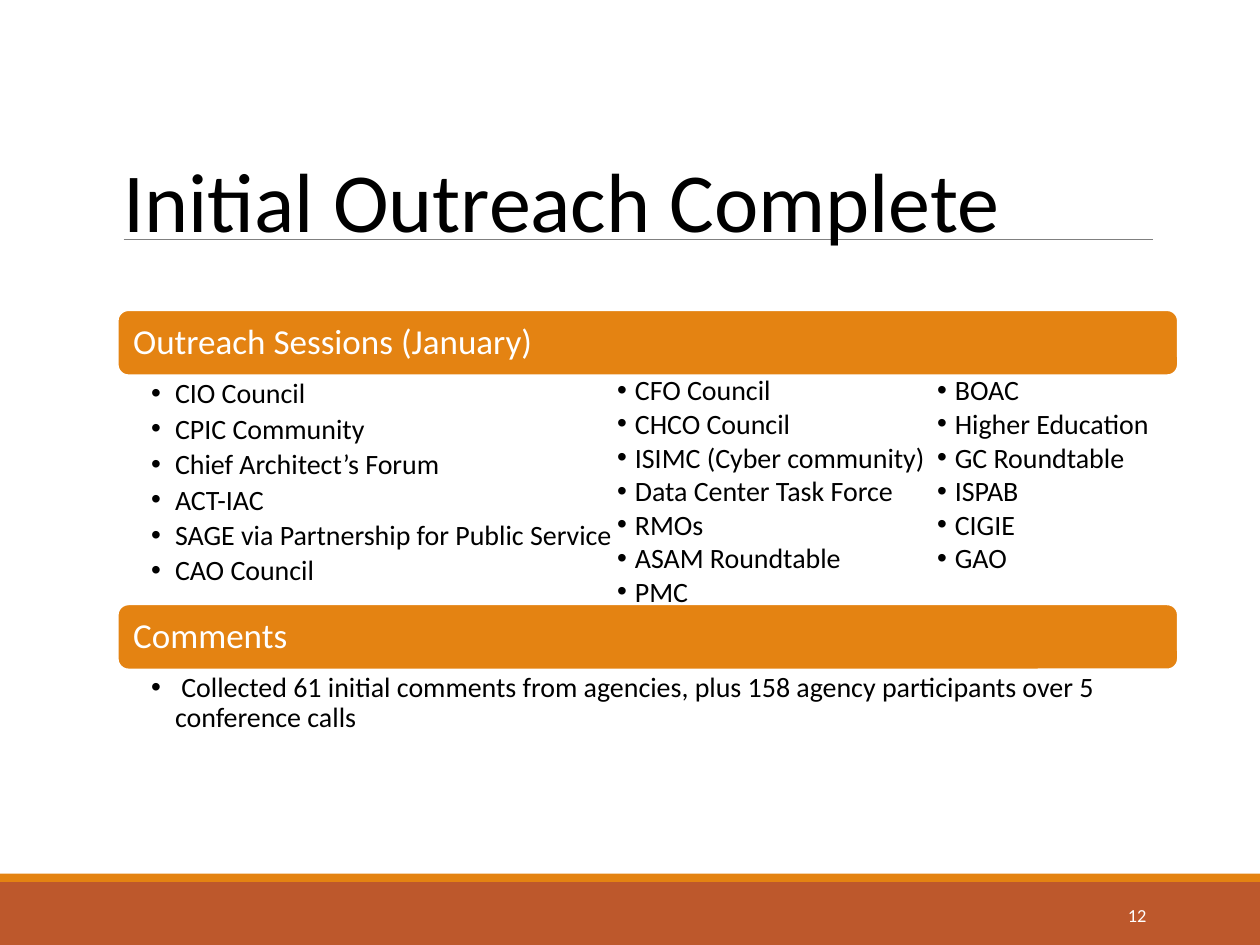
from lxml import etree
from pptx import Presentation
from pptx.dml.color import RGBColor
from pptx.enum import shapes, text
from pptx.oxml import ns
from pptx.util import Cm, Pt

BLACK = RGBColor(0, 0, 0)
WHITE = RGBColor(255, 255, 255)
GRAY = RGBColor(0x80, 0x80, 0x80)
ORANGE = RGBColor(0xE4, 0x83, 0x12)
RUST = RGBColor(0xBD, 0x58, 0x2C)
FONT = "Calibri"

TITLE = "Initial Outreach Complete"
PAGE_NUMBER = "12"
SECTIONS = [
    ("Outreach Sessions (January)", 6.25, 4.6, [
        "CIO Council", "CPIC Community", "Chief Architect’s Forum", "ACT-IAC",
        "SAGE via Partnership for Public Service", "CAO Council"]),
    ("Comments", 12.18, 1.4, [
        " Collected 61 initial comments from agencies, plus 158 agency "
        "participants over 5 conference calls"]),
]
MORE_SESSIONS = [
    (12.19, 6.83, 5.05, [
        "CFO Council", "CHCO Council", "ISIMC (Cyber community)",
        "Data Center Task Force", "RMOs", "ASAM Roundtable", "PMC"]),
    (18.64, 5.0, 4.65, [
        "BOAC", "Higher Education", "GC Roundtable", "ISPAB", "CIGIE", "GAO"]),
]
WIDTH, HEIGHT = 25.4, 19.05
FOOTER_TOP, STRIPE_HEIGHT = 17.78, 0.17
SECTION_LEFT, SECTION_WIDTH, BAR_HEIGHT = 2.37, 21.38, 1.32


def write(box, lines, size, color=BLACK, anchor=text.MSO_ANCHOR.TOP,
          align=text.PP_ALIGN.LEFT, insets=(0.25, 0.13, 0.25, 0.13),
          spacing=1.0, after=0, indent=None):
    """Fill a shape with paragraphs; an indent in cm makes them bulleted."""
    frame = box.text_frame
    frame.word_wrap = True
    frame.auto_size = text.MSO_AUTO_SIZE.NONE
    frame.vertical_anchor = anchor
    (frame.margin_left, frame.margin_top,
     frame.margin_right, frame.margin_bottom) = map(Cm, insets)
    for index, line in enumerate(lines):
        para = frame.add_paragraph() if index else frame.paragraphs[0]
        if indent:
            props = para._p.get_or_add_pPr()
            props.set("marL", str(Cm(indent)))
            props.set("indent", str(-Cm(indent)))
            etree.SubElement(props, ns.qn("a:buFont"), typeface="Arial")
            etree.SubElement(props, ns.qn("a:buChar"), char="•")
        para.alignment = align
        para.line_spacing = spacing
        para.space_before = Pt(0)
        para.space_after = Pt(after)
        span = para.add_run()
        span.text = line
        span.font.name, span.font.size = FONT, Pt(size)
        span.font.color.rgb = color


def add_block(page, kind, left, top, width, height, fill):
    block = page.shapes.add_shape(kind, Cm(left), Cm(top), Cm(width), Cm(height))
    block.shadow.inherit = False
    block.fill.solid()
    block.fill.fore_color.rgb = fill
    block.line.fill.background()
    return block


def add_text(page, left, top, width, height, lines, size, **style):
    box = page.shapes.add_textbox(Cm(left), Cm(top), Cm(width), Cm(height))
    write(box, lines, size, **style)


def add_title(page):
    title = page.shapes.title
    title.left, title.top = Cm(2.24), Cm(2.16)
    title.width, title.height = Cm(20.95), Cm(3.02)
    write(title, [TITLE], 48, anchor=text.MSO_ANCHOR.BOTTOM, spacing=0.9)
    rule = page.shapes.add_connector(
        shapes.MSO_CONNECTOR.STRAIGHT, Cm(2.49), Cm(4.83), Cm(23.25), Cm(4.83))
    rule.line.color.rgb, rule.line.width = GRAY, Pt(0.5)
    etree.SubElement(rule.element.spPr, ns.qn("a:effectLst"))
    title.element.addprevious(rule.element)  # the rule runs behind the title


def add_footer(page):
    rect = shapes.MSO_SHAPE.RECTANGLE
    add_block(page, rect, 0, FOOTER_TOP, WIDTH, HEIGHT - FOOTER_TOP, RUST)
    add_block(page, rect, 0, FOOTER_TOP - STRIPE_HEIGHT, WIDTH, STRIPE_HEIGHT, ORANGE)
    add_text(page, 20.62, 17.94, 2.74, 1.01, [PAGE_NUMBER], 10.5, color=WHITE,
             anchor=text.MSO_ANCHOR.MIDDLE, align=text.PP_ALIGN.RIGHT)


def add_section(page, heading, top, body_height, items):
    bar = add_block(page, shapes.MSO_SHAPE.ROUNDED_RECTANGLE, SECTION_LEFT, top,
                    SECTION_WIDTH, BAR_HEIGHT, ORANGE)
    bar.line.color.rgb, bar.line.width = WHITE, Pt(1.25)
    write(bar, [heading], 20, color=WHITE, anchor=text.MSO_ANCHOR.MIDDLE, spacing=0.9)
    add_text(page, SECTION_LEFT, top + BAR_HEIGHT, SECTION_WIDTH, body_height, items,
             16, insets=(0.68, 0.08, 0.4, 0.08), spacing=0.9, after=3, indent=0.48)


def main():
    deck = Presentation()
    deck.slide_width, deck.slide_height = Cm(WIDTH), Cm(HEIGHT)
    page = deck.slides.add_slide(deck.slide_layouts[5])
    add_footer(page)
    add_title(page)
    for section in SECTIONS:
        add_section(page, *section)
    for left, width, height, items in MORE_SESSIONS:
        add_text(page, left, 7.39, width, height, items, 16, indent=0.36)
    deck.save("out.pptx")


if __name__ == "__main__":
    main()
